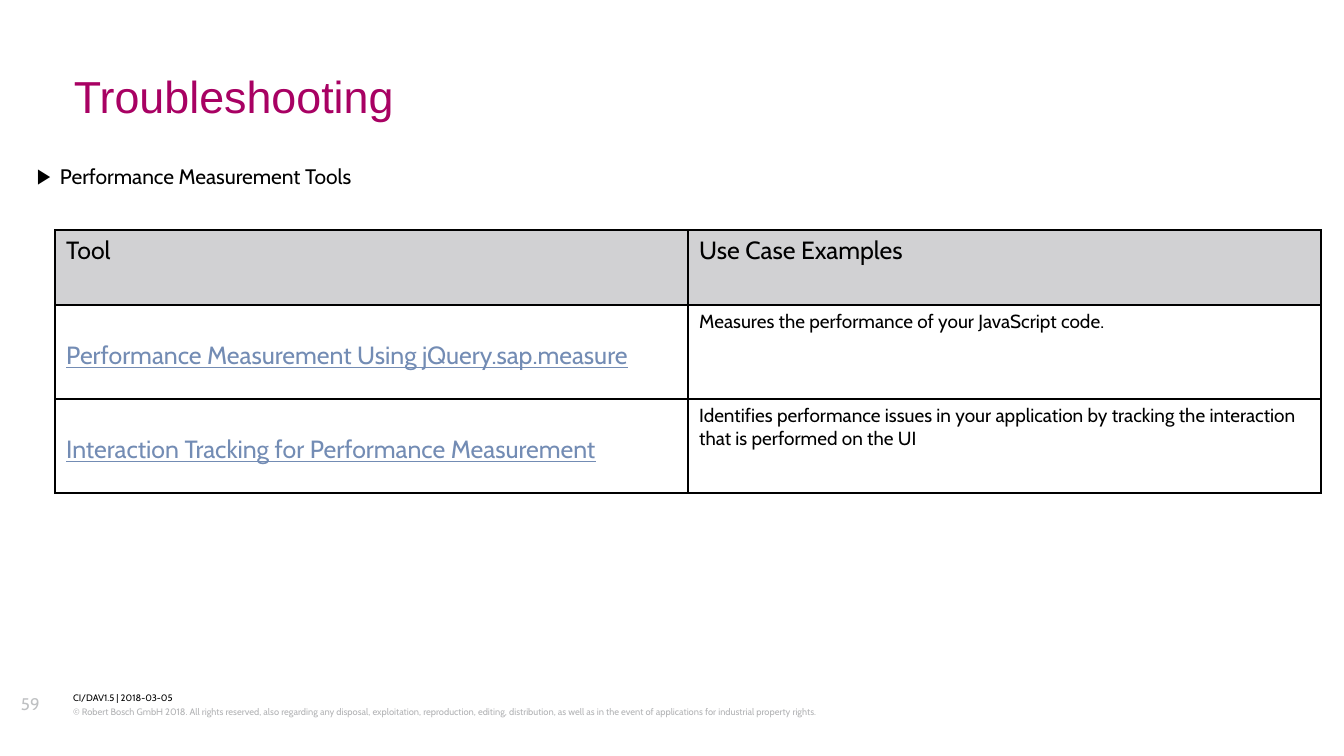
from lxml.etree import SubElement
from pptx import Presentation
from pptx.dml.color import RGBColor
from pptx.enum.text import MSO_ANCHOR, MSO_AUTO_SIZE, PP_ALIGN
from pptx.oxml.ns import qn
from pptx.util import Emu, Pt

EMU_PER_PX = 914400 / 112
COLORS = {
    "title": "A80163",
    "text": "000000",
    "link": "738CB4",
    "header": "D1D1D3",
    "copyright": "B2B3B5",
    "number": "BEC0C2",
}
HEADERS = ["Tool", "Use Case Examples"]
TOOLS = [
    ("Performance Measurement Using jQuery.sap.measure",
     "Measures the performance of your JavaScript code."),
    ("Interaction Tracking for Performance Measurement",
     "Identifies performance issues in your application by tracking "
     "the interaction that is performed on the UI"),
]
COPYRIGHT = (
    "© Robert Bosch GmbH 2018. All rights reserved, also regarding any disposal, "
    "exploitation, reproduction, editing, distribution, as well as in the event "
    "of applications for industrial property rights."
)


def px(length):
    return Emu(round(length * EMU_PER_PX))


def color(name):
    return RGBColor.from_string(COLORS[name])


def write(frame, text, size, color_name, font="Cabin", line=None, underline=None):
    """Put one formatted run in the first paragraph of a text frame."""
    para = frame.paragraphs[0]
    para.alignment = PP_ALIGN.LEFT
    if line:
        para.line_spacing = line
    span = para.add_run()
    span.text = text
    span.font.name = font
    span.font.size = Pt(size)
    span.font.color.rgb = color(color_name)
    span.font.underline = underline
    return para


def clear_insets(frame):
    frame.margin_left = frame.margin_top = 0
    frame.margin_right = frame.margin_bottom = 0
    frame.word_wrap = True
    frame.auto_size = MSO_AUTO_SIZE.NONE


def set_title(page, text):
    title = page.shapes.title
    title.left, title.top, title.width, title.height = map(px, (74, 57, 936, 83))
    frame = title.text_frame
    clear_insets(frame)
    frame.vertical_anchor = MSO_ANCHOR.MIDDLE
    write(frame, text, 28.8, "title", font="Arial", line=0.9)


def add_text(page, text, area, size, color_name):
    box = page.shapes.add_textbox(*map(px, area))
    clear_insets(box.text_frame)
    return write(box.text_frame, text, size, color_name, line=1.07)


def add_bullet(para, symbol, indent):
    properties = para._p.get_or_add_pPr()
    properties.set("marL", str(px(indent)))
    properties.set("indent", str(-px(indent)))
    SubElement(properties, qn("a:buFont"), typeface="Arial")
    SubElement(properties, qn("a:buChar"), char=symbol)


def add_borders(cell):
    properties = cell._tc.get_or_add_tcPr()
    for index, side in enumerate(("lnL", "lnR", "lnT", "lnB")):
        border = SubElement(properties, qn(f"a:{side}"), w=str(Pt(1)))
        fill = SubElement(border, qn("a:solidFill"))
        SubElement(fill, qn("a:srgbClr"), val=COLORS["text"])
        properties.insert(index, border)  # borders come before the fill


def fill_cell(cell, text, size, color_name="text", fill=None, underline=None):
    if fill:
        cell.fill.solid()
        cell.fill.fore_color.rgb = color(fill)
    else:
        cell.fill.background()
    write(cell.text_frame, text, size, color_name, underline=underline)
    add_borders(cell)


def add_tool_table(page):
    row_heights = [75] + [94] * len(TOOLS)
    column_width = 633
    frame = page.shapes.add_table(
        len(row_heights), len(HEADERS), px(55), px(230),
        px(column_width * len(HEADERS)), px(sum(row_heights)))
    table = frame.table
    table.first_row = table.horz_banding = False
    for column in table.columns:
        column.width = px(column_width)
    for row, height in zip(table.rows, row_heights):
        row.height = px(height)

    for column, header in enumerate(HEADERS):
        fill_cell(table.cell(0, column), header, 16, fill="header")
    for row, (tool, use_case) in enumerate(TOOLS, start=1):
        link = table.cell(row, 0)
        link.margin_top = px(36)
        fill_cell(link, tool, 16, "link", underline=True)
        fill_cell(table.cell(row, 1), use_case, 12.2)


def main():
    deck = Presentation()
    deck.slide_width, deck.slide_height = px(1344), px(756)
    page = deck.slides.add_slide(deck.slide_layouts[5])

    # Heading and topic
    set_title(page, "Troubleshooting")
    topic = add_text(page, "Performance Measurement Tools",
                     (37, 162, 465, 27), 13.5, "text")
    add_bullet(topic, "▶", 23)

    # Tools and their uses
    add_tool_table(page)

    # Footer
    add_text(page, "CI/DAV1.5 | 2018-03-05", (73, 691, 1121, 13), 6, "text")
    add_text(page, COPYRIGHT, (73, 705, 1121, 27), 6, "copyright")
    add_text(page, "59", (21, 692, 43, 28), 10.8, "number")

    deck.save("out.pptx")


if __name__ == "__main__":
    main()
